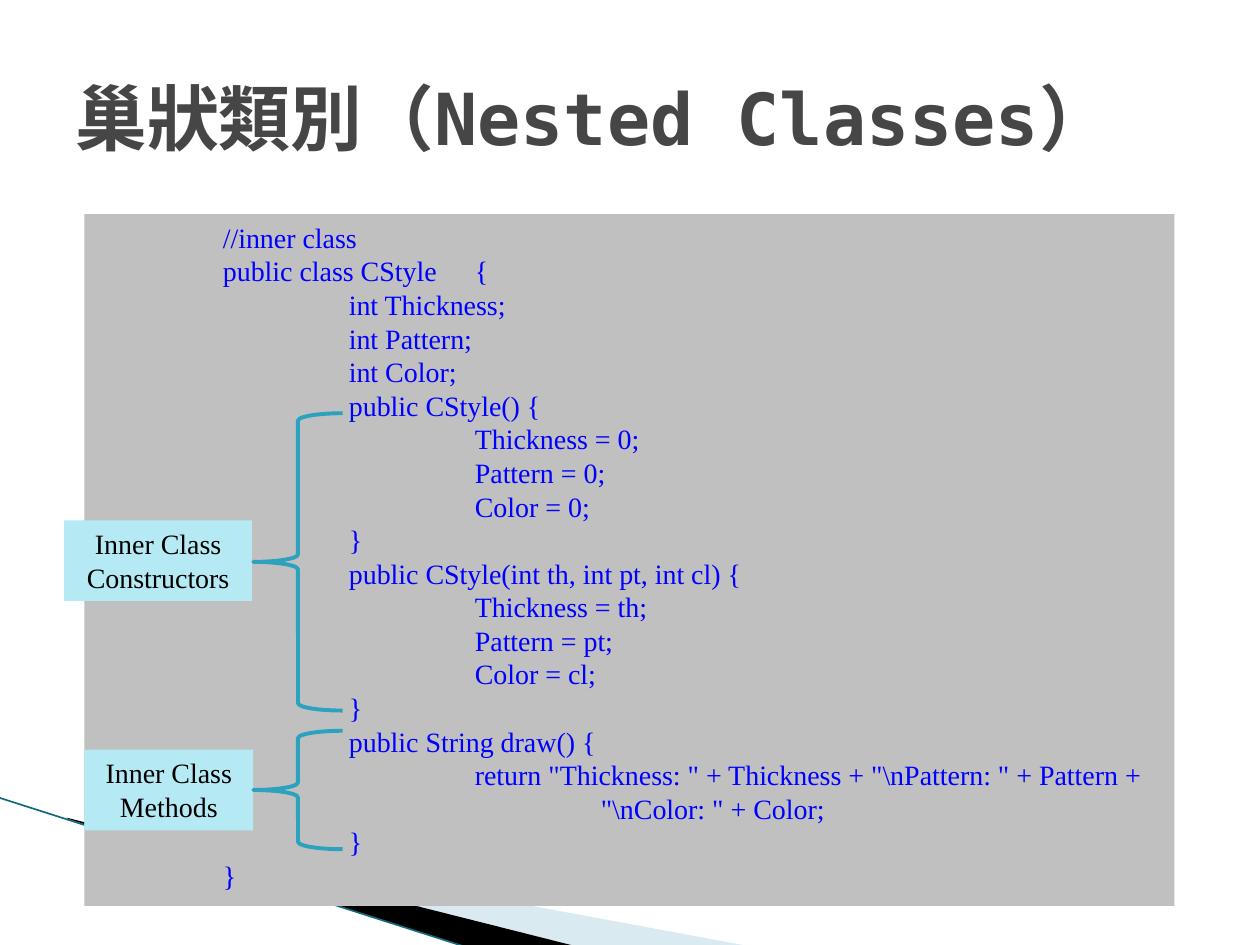
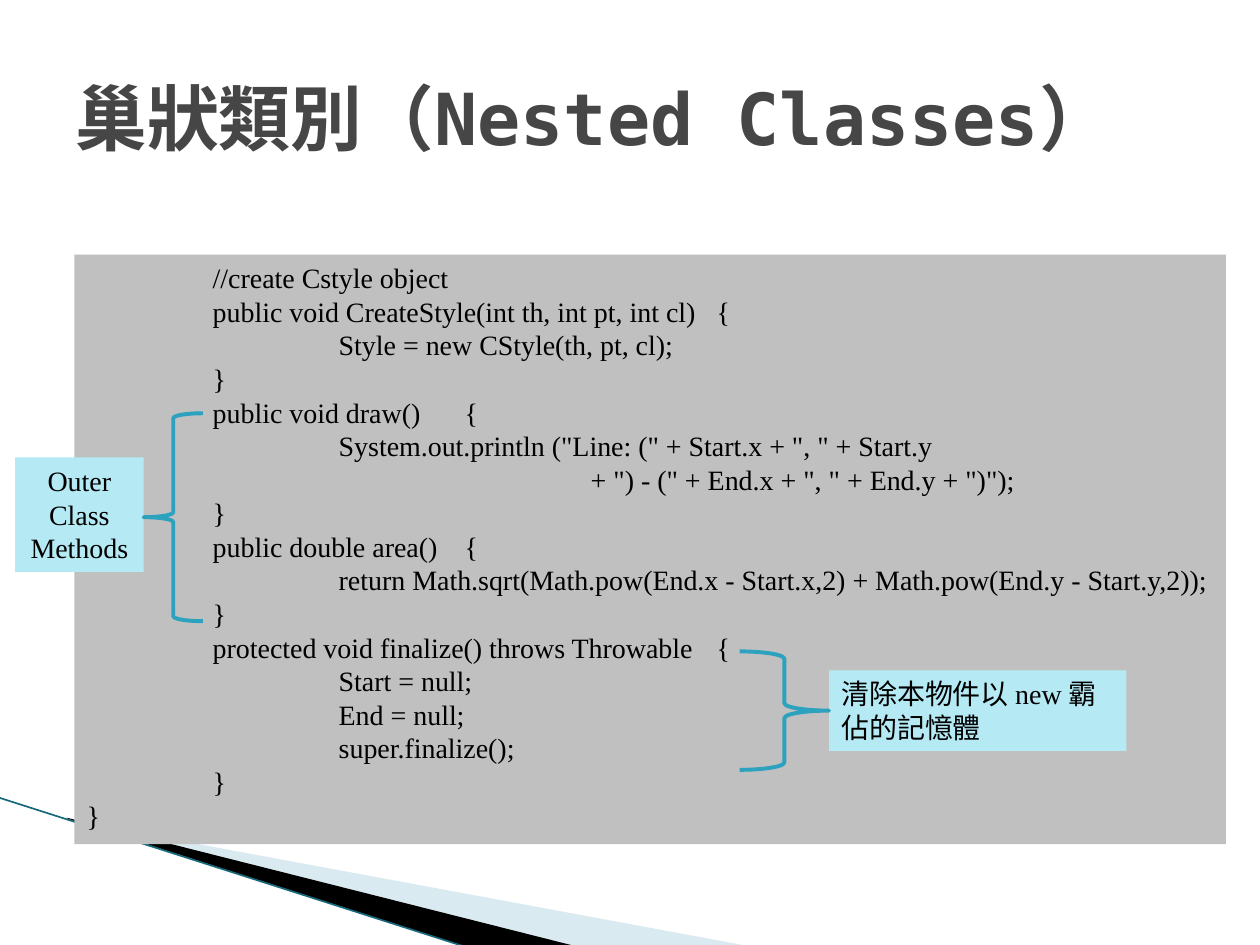
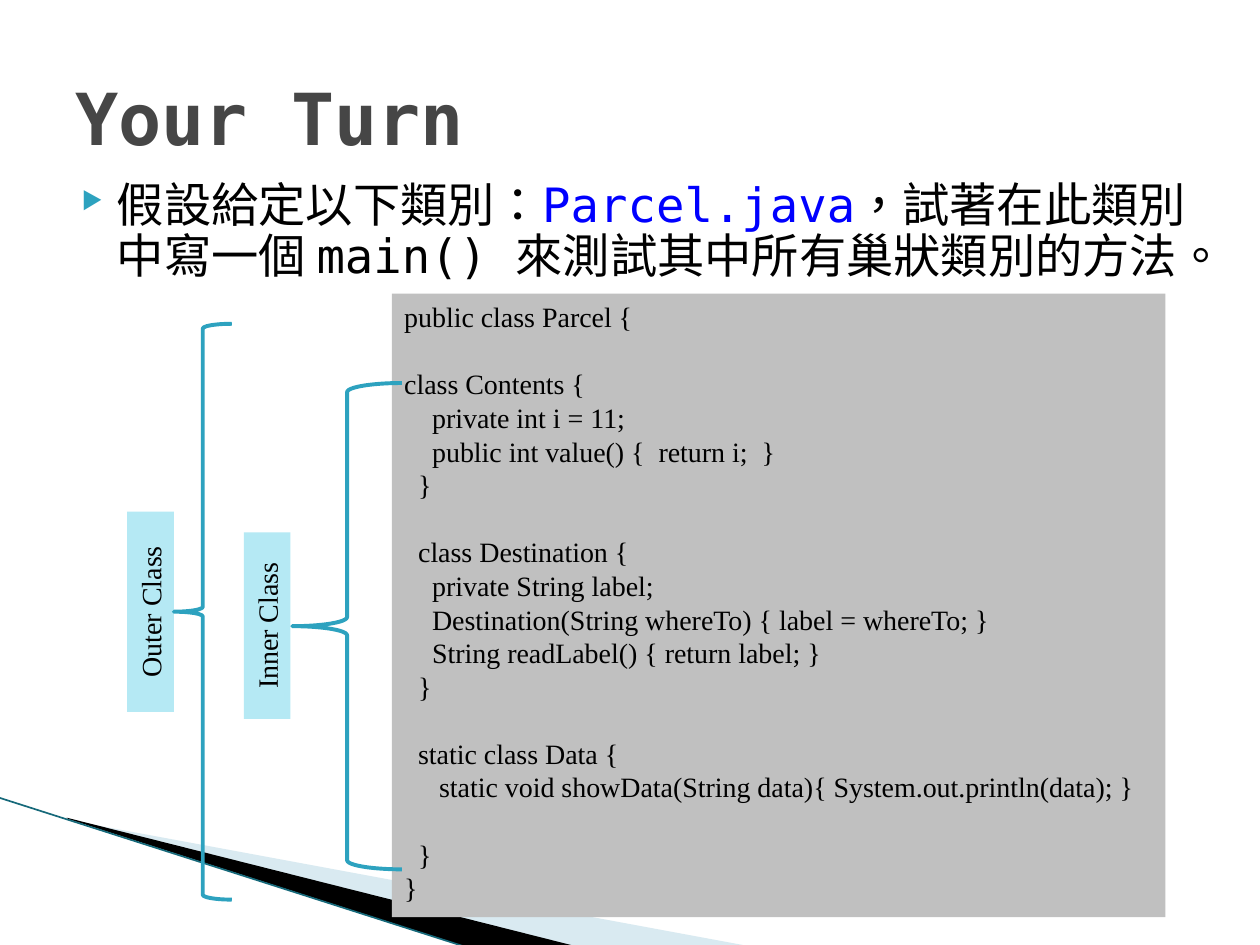
from lxml.etree import SubElement
from pptx import Presentation
from pptx.dml.color import RGBColor
from pptx.enum.shapes import MSO_CONNECTOR as Connector, MSO_SHAPE as Shape
from pptx.enum.text import MSO_ANCHOR as Anchor, MSO_AUTO_SIZE as AutoSize, PP_ALIGN as Align
from pptx.oxml.ns import qn
from pptx.util import Inches, Pt

COLORS = {
    "title": "464646", "text": "000000", "keyword": "0000FF",
    "panel": "C0C0C0", "label": "B5E9F4", "accent": "2DA2BF",
    "band": "000000", "pale_band": "A0CBDC", "edge": "16697A",
}
MONO, SERIF = "DejaVu Sans Mono", "Times New Roman"
COLUMNS, ROWS = 100, 75
CODE_SIZE, CODE_LINE = 16, 19.2
TAB_STOPS = range(1, 9)


def rgb(name):
    return RGBColor.from_string(COLORS[name])


class Deck:
    """Holds the shared style and the slide being built; places are in grid units."""

    def __init__(self):
        self.prs = Presentation()
        self.prs.slide_width, self.prs.slide_height = Inches(10), Inches(7.5)
        self.column = self.prs.slide_width / COLUMNS
        self.row = self.prs.slide_height / ROWS
        self.shapes = None

    def place(self, *units):
        """Turn alternating columns and rows into lengths."""
        return [round(unit * (self.row if i % 2 else self.column))
                for i, unit in enumerate(units)]

    def new_slide(self, title):
        self.shapes = self.prs.slides.add_slide(self.prs.slide_layouts[6]).shapes
        self.band([(5.5, 65.1), (59.5, 75.1), (45.6, 75.1), (5.5, 65)], "pale_band", 40)
        self.band([(5.3, 64.9), (45.7, 75.1), (37.2, 75.2), (5.4, 65)], "band")
        self.edge(-0.1, 63.3, 37.1, 75.2)
        self.title(title)

    def band(self, corners, color, opacity=100):
        start, *others = [self.place(*corner) for corner in corners]
        builder = self.shapes.build_freeform(*start)
        builder.add_line_segments(others, close=True)
        band = builder.convert_to_shape()
        band.shadow.inherit = False
        band.fill.solid()
        band.fill.fore_color.rgb = rgb(color)
        band.line.fill.background()
        if opacity < 100:
            tint = band.fill._xPr.find(qn("a:solidFill"))[0]
            SubElement(tint, qn("a:alpha"), val=str(opacity * 1000))

    def edge(self, *ends):
        edge = self.shapes.add_connector(Connector.STRAIGHT, *self.place(*ends))
        edge.line.color.rgb = rgb("edge")
        edge.line.width = Pt(0.95)
        SubElement(edge._element.spPr, qn("a:effectLst"))

    def style(self, paragraph, font, size, color, bold=False):
        paragraph.font.name = font
        paragraph.font.size = Pt(size)
        paragraph.font.bold = bold
        paragraph.font.color.rgb = rgb(color)

    def text_frame(self, at, anchor):
        frame = self.shapes.add_textbox(*self.place(*at)).text_frame
        frame.word_wrap = True
        frame.vertical_anchor = anchor
        return frame

    def title(self, text):
        heading = self.text_frame((5, 3, 90, 12.5), Anchor.MIDDLE).paragraphs[0]
        heading.text = text
        self.style(heading, MONO, 41, "title", bold=True)

    def bullet(self, at, pieces):
        """Write one bulleted paragraph from (text, colour) pieces."""
        item = self.text_frame(at, Anchor.TOP).paragraphs[0]
        item.line_spacing = 0.9
        props = item._p.get_or_add_pPr()
        props.set("marL", str(Inches(0.4)))
        props.set("indent", str(Inches(-0.28)))
        tint = SubElement(props, qn("a:buClr"))
        SubElement(tint, qn("a:srgbClr"), val=COLORS["accent"])
        SubElement(props, qn("a:buSzPct"), val="51000")
        SubElement(props, qn("a:buChar"), char="▶")
        self.style(item, MONO, 27, "text")
        for text, color in pieces:
            run = item.add_run()
            run.text = text
            run.font.color.rgb = rgb(color)
            run._r.get_or_add_rPr().set("lang", "zh-TW")

    def set_tabs(self, paragraph):
        """Put a tab stop at every inch."""
        stops = SubElement(paragraph._p.get_or_add_pPr(), qn("a:tabLst"))
        for inch in TAB_STOPS:
            SubElement(stops, qn("a:tab"), pos=str(Inches(inch)), algn="l")

    def box(self, at, fill, lines, color="text", align=Align.LEFT, turn=0):
        """Draw a filled box; an empty line becomes space before the next one."""
        box = self.shapes.add_shape(Shape.RECTANGLE, *self.place(*at))
        box.shadow.inherit = False
        box.fill.solid()
        box.fill.fore_color.rgb = rgb(fill)
        box.line.fill.background()
        box.rotation = turn
        frame = box.text_frame
        frame.word_wrap = True
        frame.auto_size = AutoSize.SHAPE_TO_FIT_TEXT
        frame.vertical_anchor = Anchor.TOP
        gap = False
        for number, line in enumerate(lines):
            if not line:
                gap = True
                continue
            paragraph = frame.add_paragraph() if number else frame.paragraphs[0]
            paragraph.text = line
            paragraph.alignment = align
            if gap:
                paragraph.space_before = Pt(CODE_LINE)
            if "\t" in line:
                self.set_tabs(paragraph)
            self.style(paragraph, SERIF, CODE_SIZE, color)
            gap = False

    def code(self, at, source, color="text"):
        self.box(at, "panel", source.strip("\n").split("\n"), color)

    def label(self, at, text, align=Align.CENTER, turn=0):
        self.box(at, "label", [text], align=align, turn=turn)

    def brace(self, at, turn=0):
        brace = self.shapes.add_shape(Shape.LEFT_BRACE, *self.place(*at))
        brace.shadow.inherit = False
        brace.fill.background()
        brace.line.color.rgb = rgb("accent")
        brace.line.width = Pt(2.25)
        brace.rotation = turn


INNER_CLASS = r"""
	//inner class
	public class CStyle	{
		int Thickness;
		int Pattern;
		int Color;	
		public CStyle() {
			Thickness = 0;
			Pattern = 0;
			Color = 0;
		}
		public CStyle(int th, int pt, int cl) {
			Thickness = th;
			Pattern = pt;
			Color = cl;
		}
		public String draw() {
			return "Thickness: " + Thickness + "\nPattern: " + Pattern +
				"\nColor: " + Color;
		}
	}
"""

OUTER_METHODS = """
	//create Cstyle object
	public void CreateStyle(int th, int pt, int cl)	{
		Style = new CStyle(th, pt, cl);
	}
	public void draw()	{
		System.out.println ("Line: (" + Start.x + ", " + Start.y
				+ ") - (" + End.x + ", " + End.y + ")");
	}
	public double area()	{
		return Math.sqrt(Math.pow(End.x - Start.x,2) + Math.pow(End.y - Start.y,2));
	}
	protected void finalize() throws Throwable	{
		Start = null;
		End = null;
		super.finalize();
	}
}
"""

PARCEL = """
public class Parcel {

class Contents {
    private int i = 11;
    public int value() {  return i;  }
  }

  class Destination {
    private String label;
    Destination(String whereTo) { label = whereTo; }
    String readLabel() { return label; }
  }

  static class Data {
     static void showData(String data){ System.out.println(data); }

  }
}
"""


def main():
    deck = Deck()
    nested_title = "巢狀類別（Nested Classes）"

    # Inner class with its constructors and methods
    deck.new_slide(nested_title)
    deck.code((6.7, 17, 86.5, 54.9), INNER_CLASS, "keyword")
    deck.label((5.1, 41.3, 14.9, 6.4), "Inner Class Constructors")
    deck.brace((20.1, 32.8, 7.1, 23.6))
    deck.label((6.7, 59.5, 13.4, 6.4), "Inner Class Methods")
    deck.brace((20.1, 58, 7.1, 9.4))

    # Outer class methods and clean-up
    deck.new_slide(nested_title)
    deck.code((5.9, 20.2, 91.4, 46.8), OUTER_METHODS)
    deck.label((1.2, 36.3, 10.2, 9.1), "Outer Class Methods")
    deck.brace((11.4, 32.8, 4.7, 16.5))
    deck.label((65.8, 53.2, 23.6, 6.4), "清除本物件以 new 霸佔的記憶體", Align.LEFT)
    deck.brace((58.7, 51.7, 7.1, 9.4), turn=180)

    # Exercise
    deck.new_slide("Your Turn")
    deck.bullet((4.3, 13.9, 93.2, 10.2), [
        ("假設給定以下類別：", "text"),
        ("Parcel.java", "keyword"),
        ("，試著在此類別中寫一個 main() 來測試其中所有巢狀類別的方法。", "text"),
    ])
    deck.code((31.1, 23.3, 61.4, 49.5), PARCEL)
    deck.label((13.8, 47.8, 14.8, 3.7), "Inner Class", turn=270)
    deck.brace((23.2, 30.4, 8.7, 38.6))
    deck.label((4, 46.7, 15.9, 3.7), "Outer Class", turn=270)
    deck.brace((13.8, 25.7, 4.6, 45.7))

    deck.prs.save("out.pptx")


if __name__ == "__main__":
    main()
